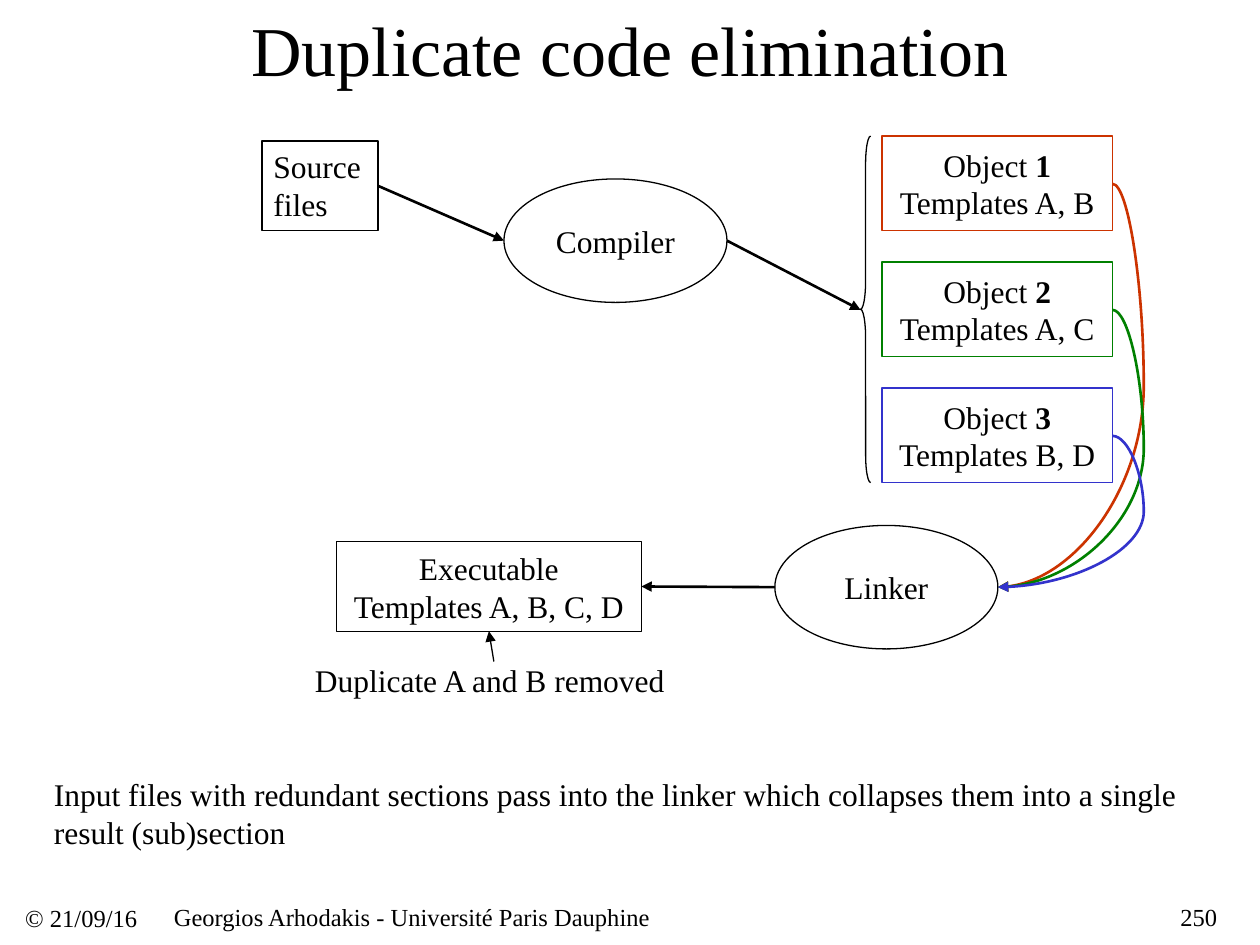
import pptx
import pptx.dml.color
import pptx.enum.shapes
import pptx.enum.text
import pptx.oxml
import pptx.oxml.ns
import pptx.util
from dataclasses import dataclass

Inches = pptx.util.Inches
Kind = pptx.enum.shapes.MSO_SHAPE
Link = pptx.enum.shapes.MSO_CONNECTOR
Align = pptx.enum.text.PP_ALIGN
FONT = "Times New Roman"
BLACK = "000000"
BOTTOM, RIGHT = 2, 3


@dataclass
class Label:
    text: str
    left: float
    top: float
    width: float
    height: float
    size: int = 18
    align: Align = Align.LEFT
    inset: bool = False


@dataclass
class Node:
    lines: list[str]
    left: float
    top: float
    width: float
    height: float
    kind: Kind = Kind.RECTANGLE
    color: str = BLACK


@dataclass
class Object:
    number: str
    names: str
    color: str


def paint(hue: str) -> pptx.dml.color.RGBColor:
    return pptx.dml.color.RGBColor.from_string(hue)


def style(para, size: int, align: Align) -> None:
    para.alignment = align
    para.font.name = FONT
    para.font.size = pptx.util.Pt(size)
    para.font.color.rgb = paint(BLACK)


def add_label(slide, label: Label) -> None:
    box = slide.shapes.add_textbox(Inches(label.left), Inches(label.top),
                                   Inches(label.width), Inches(label.height))
    frame = box.text_frame
    frame.word_wrap = True
    frame.vertical_anchor = pptx.enum.text.MSO_ANCHOR.MIDDLE
    if not label.inset:
        frame.margin_left = frame.margin_right = 0
        frame.margin_top = frame.margin_bottom = 0
    frame.text = label.text
    style(frame.paragraphs[0], label.size, label.align)


def add_node(slide, node: Node):
    shape = slide.shapes.add_shape(node.kind, Inches(node.left), Inches(node.top),
                                   Inches(node.width), Inches(node.height))
    shape.shadow.inherit = False
    shape.fill.background()
    shape.line.color.rgb = paint(node.color)
    shape.line.width = pptx.util.Pt(0.75)
    frame = shape.text_frame
    frame.word_wrap = True
    frame.vertical_anchor = pptx.enum.text.MSO_ANCHOR.MIDDLE
    frame.text = "\n".join(node.lines)
    for para in frame.paragraphs:
        style(para, 18, Align.CENTER)
    return shape


def add_xml(parent, tag: str, attrs: str = "") -> None:
    space = pptx.oxml.ns.nsdecls("a")
    parent.append(pptx.oxml.parse_xml(f"<a:{tag} {space} {attrs}/>"))


def add_arrow(slide, start: tuple, end: tuple, color: str = BLACK,
              width: float = 1.5, kind: Link = Link.STRAIGHT):
    arrow = slide.shapes.add_connector(kind, Inches(start[0]), Inches(start[1]),
                                       Inches(end[0]), Inches(end[1]))
    arrow.line.color.rgb = paint(color)
    arrow.line.width = pptx.util.Pt(width)
    props = arrow.element.spPr
    add_xml(props.find(pptx.oxml.ns.qn("a:ln")), "tailEnd", 'type="triangle"')
    add_xml(props, "effectLst")
    return arrow


def add_curve(slide, start: tuple, end: tuple, color: str) -> None:
    curve = add_arrow(slide, start, end, color, kind=Link.CURVE)
    guides = curve.element.spPr.prstGeom.find(pptx.oxml.ns.qn("a:avLst"))
    add_xml(guides, "gd", 'name="adj1" fmla="val -27300"')


LABELS = [
    # Footer
    Label("© 21/09/16", 0.2, 7.05, 1.08, 0.47, 14),
    Label("Georgios Arhodakis - Université Paris Dauphine", 1.38, 7.16, 6.83, 0.23, 14),
    Label("250", 8.66, 7.16, 1, 0.23, 14, Align.RIGHT),
    # Title and notes
    Label("Duplicate code elimination", 0.75, 0, 8.5, 0.77, 40, Align.CENTER, True),
    Label("Input files with redundant sections pass into the linker which "
          "collapses them into a single result (sub)section",
          0.33, 6.1, 9.33, 0.7, inset=True),
    Label("Source files", 2.17, 1.17, 0.75, 0.6),
    Label("Duplicate A and B removed", 2.5, 5.25, 2.83, 0.3),
]
OBJECTS = [
    Object("1", "A, B", "CC3300"),
    Object("2", "A, C", "008000"),
    Object("3", "B, D", "3333CC"),
]


def main() -> None:
    deck = pptx.Presentation()
    deck.slide_width, deck.slide_height = Inches(10), Inches(7.5)
    slide = deck.slides.add_slide(deck.slide_layouts[6])

    # Stages
    source = add_node(slide, Node([], 2.08, 1.12, 0.92, 0.71))
    add_node(slide, Node(["Compiler"], 4, 1.42, 1.77, 0.98, Kind.OVAL))
    add_node(slide, Node(["Linker"], 6.15, 4.17, 1.77, 0.98, Kind.OVAL))
    result = add_node(slide, Node(["Executable", "Templates A, B, C, D"],
                                  2.67, 4.3, 2.42, 0.71))
    for label in LABELS:
        add_label(slide, label)

    # Object files, each with a curve into the linker
    for row, item in enumerate(OBJECTS):
        top = 1.08 + row
        node = add_node(slide, Node(["Object ", f"Templates {item.names}"],
                                    7, top, 1.83, 0.75, color=item.color))
        run = node.text_frame.paragraphs[0].add_run()
        run.text = item.number
        run.font.bold = True
        add_curve(slide, (8.83, top + 0.38), (7.92, 4.66), item.color)
    brace = add_node(slide, Node([], 6.83, 1.08, 0.08, 2.75, Kind.LEFT_BRACE))
    brace.adjustments[0] = 2.75
    brace.adjustments[1] = 0.5

    # Flow arrows
    add_arrow(slide, (3, 1.48), (4, 1.91)).begin_connect(source, RIGHT)
    add_arrow(slide, (5.77, 1.91), (6.83, 2.46))
    add_arrow(slide, (6.15, 4.66), (5.09, 4.66)).end_connect(result, RIGHT)
    add_arrow(slide, (3.92, 5.25), (3.88, 5.01), width=0.75).end_connect(result, BOTTOM)

    deck.save("out.pptx")


if __name__ == "__main__":
    main()
